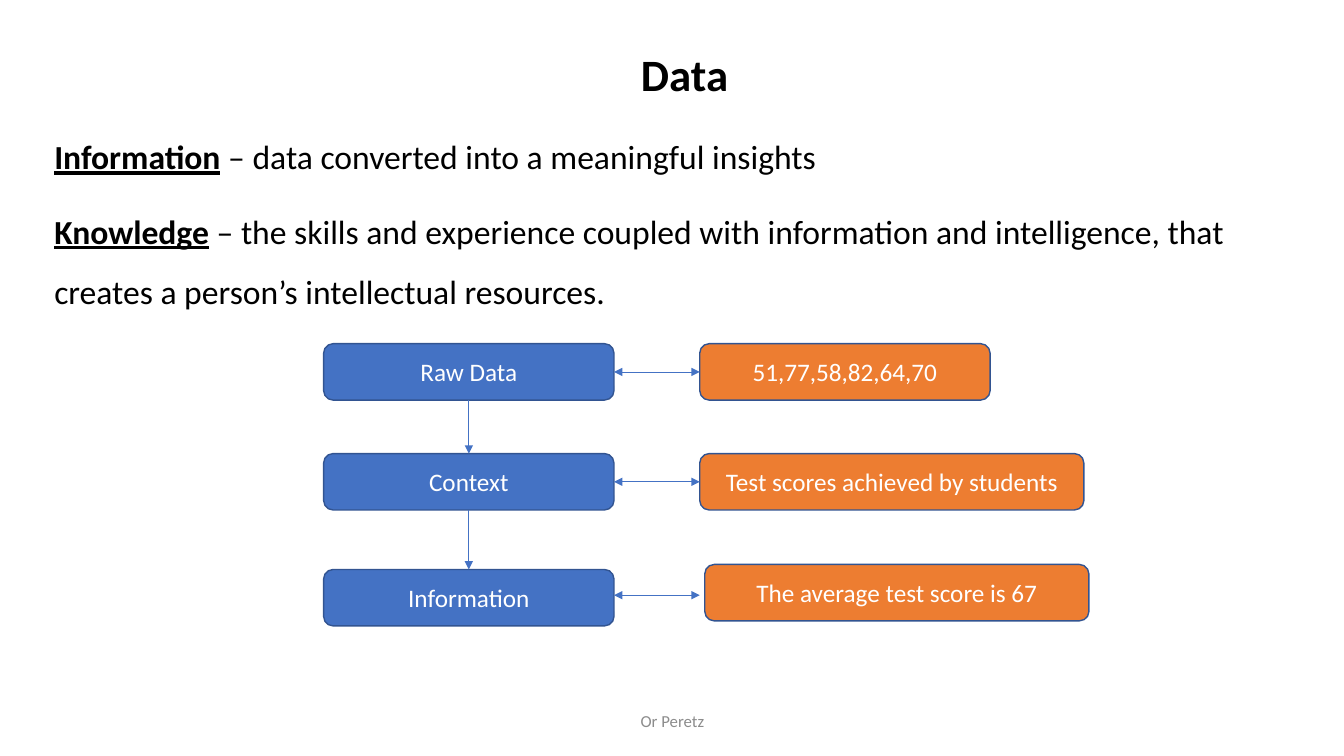
from lxml import etree
from pptx import Presentation
from pptx.dml.color import RGBColor
from pptx.enum import shapes, text
from pptx.oxml.ns import qn
from pptx.util import Inches, Pt

# Content
TITLE = "Data"
DEFINITIONS = [
    ("Information", " – data converted into a meaningful insights"),
    ("Knowledge", " – the skills and experience coupled with information and "
                  "intelligence, that creates a person’s intellectual resources."),
]
FOOTER = "Or Peretz"
# Each row: stage, its top, example, its left, top and width
ROWS = [
    ("Raw Data", 3.41, "51,77,58,82,64,70", 6.94, 3.41, 2.88),
    ("Context", 4.5, "Test scores achieved by students", 6.94, 4.5, 3.81),
    ("Information", 5.65, "The average test score is 67", 6.99, 5.6, 3.81),
]
COLORS = {"text": "000000", "footer": "8C8C8C", "white": "FFFFFF",
          "stage": "4472C4", "example": "ED7D31", "outline": "325491"}
STAGE_LEFT, STAGE_WIDTH, BOX_HEIGHT = 3.21, 2.88, 0.56
ARROW_RIGHT = 6.94

prs = Presentation()
prs.slide_width, prs.slide_height = Inches(13.33), Inches(7.5)
s = prs.slides.add_slide(prs.slide_layouts[5])


def rgb(name):
    return RGBColor.from_string(COLORS[name])


def write(p, words, size=18, color="text", bold=False, underline=False, align=None):
    if align is not None:
        p.alignment = align
    r = p.add_run()
    r.text = words
    f = r.font
    f.name, f.size, f.bold, f.underline = "Calibri", Pt(size), bold, underline
    f.color.rgb = rgb(color)


def frame(sp, anchor):
    tf = sp.text_frame
    tf.word_wrap = True
    tf.auto_size = text.MSO_AUTO_SIZE.NONE
    tf.vertical_anchor = anchor
    return tf


def text_box(left, top, width, height, anchor):
    sp = s.shapes.add_textbox(*map(Inches, (left, top, width, height)))
    return frame(sp, anchor)


def box(label, left, top, width, fill):
    sp = s.shapes.add_shape(shapes.MSO_SHAPE.ROUNDED_RECTANGLE,
                            *map(Inches, (left, top, width, BOX_HEIGHT)))
    sp.shadow.inherit = False
    sp.fill.solid()
    sp.fill.fore_color.rgb = rgb(fill)
    sp.line.color.rgb = rgb("outline")
    sp.line.width = Pt(1)
    tf = frame(sp, text.MSO_ANCHOR.MIDDLE)
    write(tf.paragraphs[0], label, color="white", align=text.PP_ALIGN.CENTER)


def arrow(x1, y1, x2, y2, ends=("tailEnd",)):
    c = s.shapes.add_connector(shapes.MSO_CONNECTOR.STRAIGHT,
                               *map(Inches, (x1, y1, x2, y2)))
    c.line.color.rgb = rgb("stage")
    c.line.width = Pt(0.5)
    for end in ends:
        etree.SubElement(c.line._get_or_add_ln(), qn(f"a:{end}"), type="triangle")
    etree.SubElement(c._element.spPr, qn("a:effectLst"))


# Title
title = s.shapes.title
title.left, title.top, title.width, title.height = map(Inches, (0.44, 0.15, 12.7, 0.92))
p = frame(title, text.MSO_ANCHOR.TOP).paragraphs[0]
p.line_spacing = 1.5
write(p, TITLE, size=32, bold=True, align=text.PP_ALIGN.CENTER)

# Definitions
tf = text_box(0.44, 1.1, 12.7, 2.1, text.MSO_ANCHOR.TOP)
for i, (term, meaning) in enumerate(DEFINITIONS):
    p = tf.add_paragraph() if i else tf.paragraphs[0]
    p.line_spacing = 1.5
    if i:
        p.space_before = Pt(10)
    write(p, term, size=24, bold=True, underline=True)
    write(p, meaning, size=24)

# Footer
tf = text_box(4.42, 6.95, 4.5, 0.4, text.MSO_ANCHOR.MIDDLE)
write(tf.paragraphs[0], FOOTER, size=12, color="footer", align=text.PP_ALIGN.CENTER)

# Stages, examples and the double arrows between them
for stage, top, example, left, example_top, width in ROWS:
    box(stage, STAGE_LEFT, top, STAGE_WIDTH, "stage")
    box(example, left, example_top, width, "example")
    y = (top + example_top + BOX_HEIGHT) / 2
    arrow(ARROW_RIGHT, y, STAGE_LEFT + STAGE_WIDTH, y, ends=("headEnd", "tailEnd"))

# Arrows from stage to stage
x = STAGE_LEFT + STAGE_WIDTH / 2
for upper, lower in zip(ROWS, ROWS[1:]):
    arrow(x, upper[1] + BOX_HEIGHT, x, lower[1])

prs.save("out.pptx")
